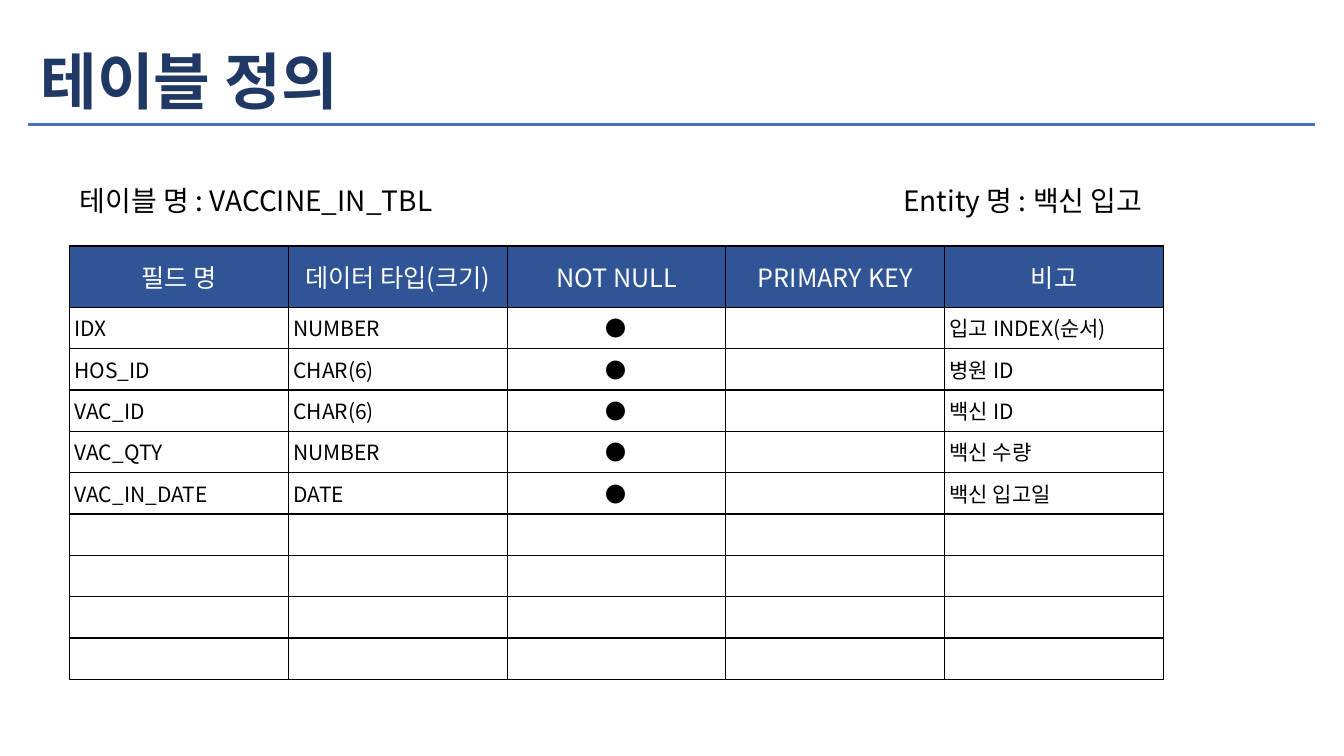
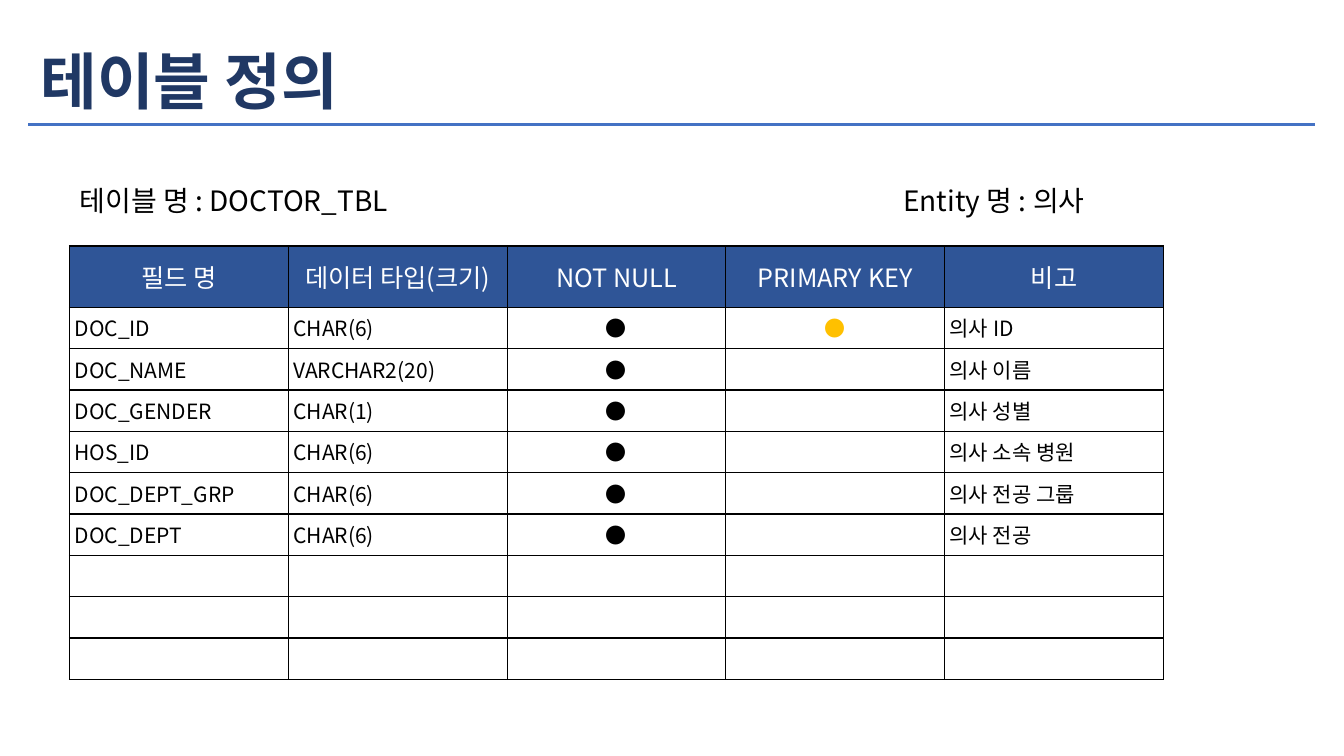
"""Build two table-definition slides that share a title band and a field grid."""
from lxml import etree
from pptx import Presentation
from pptx import util as u
from pptx.dml.color import RGBColor
from pptx.enum import shapes, text
from pptx.oxml.ns import qn

FONT = "Noto Sans CJK KR"
COLORS = {"title": "203864", "rule": "4472C4", "header": "2F5597",
          "white": "FFFFFF", "black": "000000", "key": "FFC000"}
HEADERS = ["필드 명", "데이터 타입(크기)", "NOT NULL", "PRIMARY KEY", "비고"]
BODY_ROWS = 9
COL_W, HEADER_H, ROW_H = 2.17, 0.61, 0.41
MARGIN = u.Inches(0.05)
DOT = "●"
DOT_COLS = (2, 3)

TABLES = [
    ("VACCINE_IN_TBL", "백신 입고", [
        ("IDX", "NUMBER", DOT, "", "입고 INDEX(순서)"),
        ("HOS_ID", "CHAR(6)", DOT, "", "병원 ID"),
        ("VAC_ID", "CHAR(6)", DOT, "", "백신 ID"),
        ("VAC_QTY", "NUMBER", DOT, "", "백신 수량"),
        ("VAC_IN_DATE", "DATE", DOT, "", "백신 입고일"),
    ]),
    ("DOCTOR_TBL", "의사", [
        ("DOC_ID", "CHAR(6)", DOT, DOT, "의사 ID"),
        ("DOC_NAME", "VARCHAR2(20)", DOT, "", "의사 이름"),
        ("DOC_GENDER", "CHAR(1)", DOT, "", "의사 성별"),
        ("HOS_ID", "CHAR(6)", DOT, "", "의사 소속 병원"),
        ("DOC_DEPT_GRP", "CHAR(6)", DOT, "", "의사 전공 그룹"),
        ("DOC_DEPT", "CHAR(6)", DOT, "", "의사 전공"),
    ]),
]


def write(tf, words, size, color, bold=False):
    """Write one styled paragraph, or size the empty one, and return it."""
    p = tf.paragraphs[0]
    p.text = words
    for r in p.runs:
        r.font.size = u.Pt(size)
        r.font.bold = bold
        r.font.name = FONT
        r.font.color.rgb = RGBColor.from_string(COLORS[color])
        etree.SubElement(r.font._element, qn("a:ea"), typeface=FONT)
    if not words:
        etree.SubElement(p._p, qn("a:endParaRPr"), sz=str(size * 100))
    return p


def add_border(cell):
    """Draw a thin black line on all four sides of a cell."""
    tcPr = cell._tc.get_or_add_tcPr()
    for side in ("lnL", "lnR", "lnT", "lnB"):
        ln = etree.SubElement(tcPr, qn("a:" + side), w=str(u.Pt(1)))
        fill = etree.SubElement(ln, qn("a:solidFill"))
        etree.SubElement(fill, qn("a:srgbClr"), val=COLORS["black"])


prs = Presentation()
prs.slide_width, prs.slide_height = u.Inches(13.33), u.Inches(7.5)

for table_name, entity, fields in TABLES:
    s = prs.slides.add_slide(prs.slide_layouts[6])

    rows = [HEADERS] + fields + [[""] * len(HEADERS)] * (BODY_ROWS - len(fields))
    frame = s.shapes.add_table(
        len(rows), len(HEADERS), u.Inches(0.69), u.Inches(2.44),
        u.Inches(COL_W * len(HEADERS)), u.Inches(HEADER_H + ROW_H * BODY_ROWS))
    table = frame.table
    for col in table.columns:
        col.width = u.Inches(COL_W)
    for i, row in enumerate(rows):
        header = i == 0
        table.rows[i].height = u.Inches(HEADER_H if header else ROW_H)
        for j, words in enumerate(row):
            cell = table.cell(i, j)
            cell.margin_left = cell.margin_right = MARGIN
            cell.margin_top = cell.margin_bottom = MARGIN
            add_border(cell)
            if header:
                cell.vertical_anchor = text.MSO_ANCHOR.MIDDLE
                cell.fill.solid()
                cell.fill.fore_color.rgb = RGBColor.from_string(COLORS["header"])
                p = write(cell.text_frame, words, 18, "white")
            else:
                cell.fill.background()
                p = write(cell.text_frame, words, 15, "key" if j == 3 else "black")
            if header or j in DOT_COLS:
                p.alignment = text.PP_ALIGN.CENTER

    for words, left, top, width, height, size, color, bold in (
        (f"테이블 명 : {table_name}", 0.74, 1.75, 4.38, 0.51, 20, "black", False),
        (f"Entity 명 : {entity}", 8.91, 1.75, 4.38, 0.51, 20, "black", False),
        ("테이블 정의", 0.35, 0.32, 11.29, 1.04, 44, "title", True),
    ):
        box = s.shapes.add_textbox(u.Inches(left), u.Inches(top),
                                   u.Inches(width), u.Inches(height))
        tf = box.text_frame
        tf.word_wrap = True
        tf.vertical_anchor = text.MSO_ANCHOR.MIDDLE
        tf.margin_left = tf.margin_right = tf.margin_top = tf.margin_bottom = MARGIN
        write(tf, words, size, color, bold).line_spacing = 0.9

    rule = s.shapes.add_shape(shapes.MSO_SHAPE.RECTANGLE, u.Inches(0.27),
                              u.Inches(1.21), u.Inches(12.78), u.Inches(0.05))
    rule.shadow.inherit = False
    rule.fill.solid()
    rule.fill.fore_color.rgb = RGBColor.from_string(COLORS["rule"])
    rule.line.color.rgb = RGBColor.from_string(COLORS["white"])
    rule.line.width = u.Pt(1)

prs.save("out.pptx")
